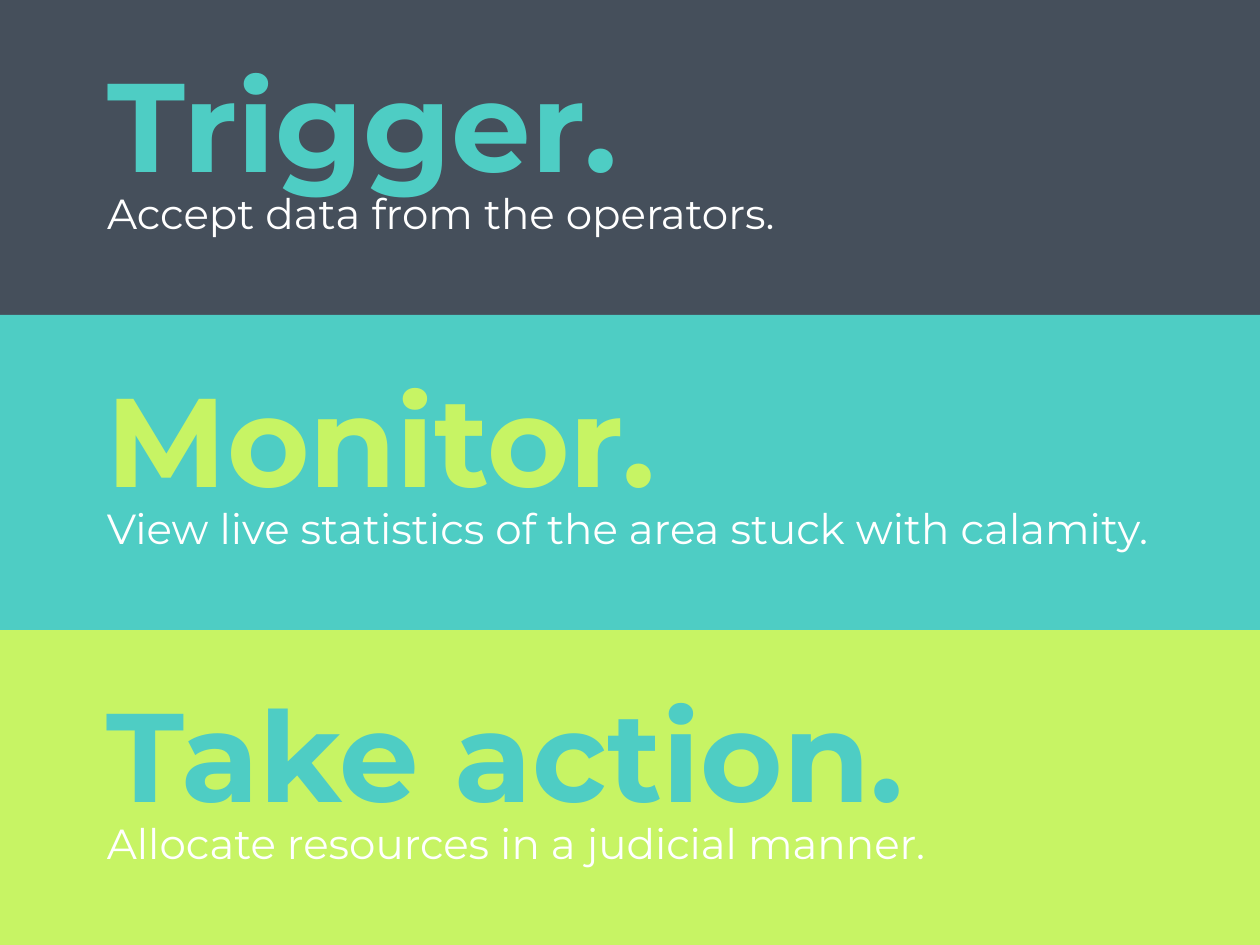
from dataclasses import dataclass

from pptx import Presentation
from pptx.dml.color import RGBColor
from pptx.enum.shapes import MSO_SHAPE
from pptx.enum.text import MSO_ANCHOR, MSO_AUTO_SIZE, PP_ALIGN
from pptx.util import Pt

RECTANGLE = MSO_SHAPE.RECTANGLE
TOP, BOTTOM = MSO_ANCHOR.TOP, MSO_ANCHOR.BOTTOM
LEFT = PP_ALIGN.LEFT
NO_AUTOFIT = MSO_AUTO_SIZE.NONE

EMU_PER_PX = 9144
SLIDE_WIDTH, SLIDE_HEIGHT, BAND_HEIGHT = 1000, 750, 250
TEXT_LEFT, INSET = 75, 10
HEADING_TOP, HEADING_HEIGHT = 36, 131
DETAIL_TOP, DETAIL_HEIGHT = 139, 68


@dataclass(frozen=True)
class Theme:
    """Colours, typeface and type sizes of the slide."""
    slate: RGBColor = RGBColor(0x45, 0x4F, 0x5B)
    teal: RGBColor = RGBColor(0x4E, 0xCD, 0xC4)
    lime: RGBColor = RGBColor(0xC7, 0xF4, 0x64)
    white: RGBColor = RGBColor(0xFF, 0xFF, 0xFF)
    font: str = "Montserrat"
    heading_size: int = 72
    detail_size: int = 24


THEME = Theme()
STEPS = [
    ("Trigger.", "Accept data from the operators.", THEME.teal, 850),
    ("Monitor.", "View live statistics of the area stuck with calamity.", THEME.lime, 884),
    ("Take action.", "Allocate resources in a judicial manner.", THEME.teal, 850),
]


def px(length):
    """Turn whole px into EMU."""
    return length * EMU_PER_PX


def apply_format(target, values):
    """Set each attribute in values on the target."""
    for attribute, value in values.items():
        setattr(target, attribute, value)


def add_band(slide, index, color):
    """Add a full-width colour band behind all text."""
    band = slide.shapes.add_shape(
        RECTANGLE, 0, px(index * BAND_HEIGHT), px(SLIDE_WIDTH), px(BAND_HEIGHT))
    band.shadow.inherit = False
    band.fill.solid()
    band.fill.fore_color.rgb = color
    band.line.fill.background()
    band.element.getparent().insert(2 + index, band.element)


def write_line(holder, text, box, size, color, bold, anchor):
    """Place a text holder and write one formatted line in it."""
    apply_format(holder, dict(zip(("left", "top", "width", "height"), map(px, box))))
    frame = holder.text_frame
    frame.text = text
    margins = {f"margin_{side}": px(INSET) for side in ("left", "top", "right", "bottom")}
    apply_format(frame, {"word_wrap": True, "auto_size": NO_AUTOFIT,
                         "vertical_anchor": anchor, **margins})
    line = frame.paragraphs[0]
    apply_format(line, {"alignment": LEFT, "space_before": Pt(0)})
    font = line.runs[0].font
    apply_format(font, {"name": THEME.font, "size": Pt(size), "bold": bold})
    font.color.rgb = color


def add_step(slide, index, step, holders):
    """Write the heading and detail of one step in its band."""
    heading, detail, color, detail_width = step
    heading_holder, detail_holder = holders
    band_top = index * BAND_HEIGHT
    write_line(heading_holder, heading,
               (TEXT_LEFT, band_top + HEADING_TOP, 850, HEADING_HEIGHT),
               THEME.heading_size, color, True, BOTTOM)
    write_line(detail_holder, detail,
               (TEXT_LEFT, band_top + DETAIL_TOP, detail_width, DETAIL_HEIGHT),
               THEME.detail_size, THEME.white, False, TOP)


def main():
    """Build and save the slide."""
    deck = Presentation()
    apply_format(deck, {"slide_width": px(SLIDE_WIDTH), "slide_height": px(SLIDE_HEIGHT)})
    slide = deck.slides.add_slide(deck.slide_layouts[0])
    slide.background.fill.solid()
    slide.background.fill.fore_color.rgb = THEME.lime
    for index, color in enumerate((THEME.slate, THEME.teal)):
        add_band(slide, index, color)
    title_holders = slide.shapes.title, slide.placeholders[1]
    for index, step in enumerate(STEPS):
        holders = title_holders if index == 0 else [
            slide.shapes.add_textbox(0, 0, 0, 0) for _ in range(2)]
        add_step(slide, index, step, holders)
    deck.save("out.pptx")


if __name__ == "__main__":
    main()
